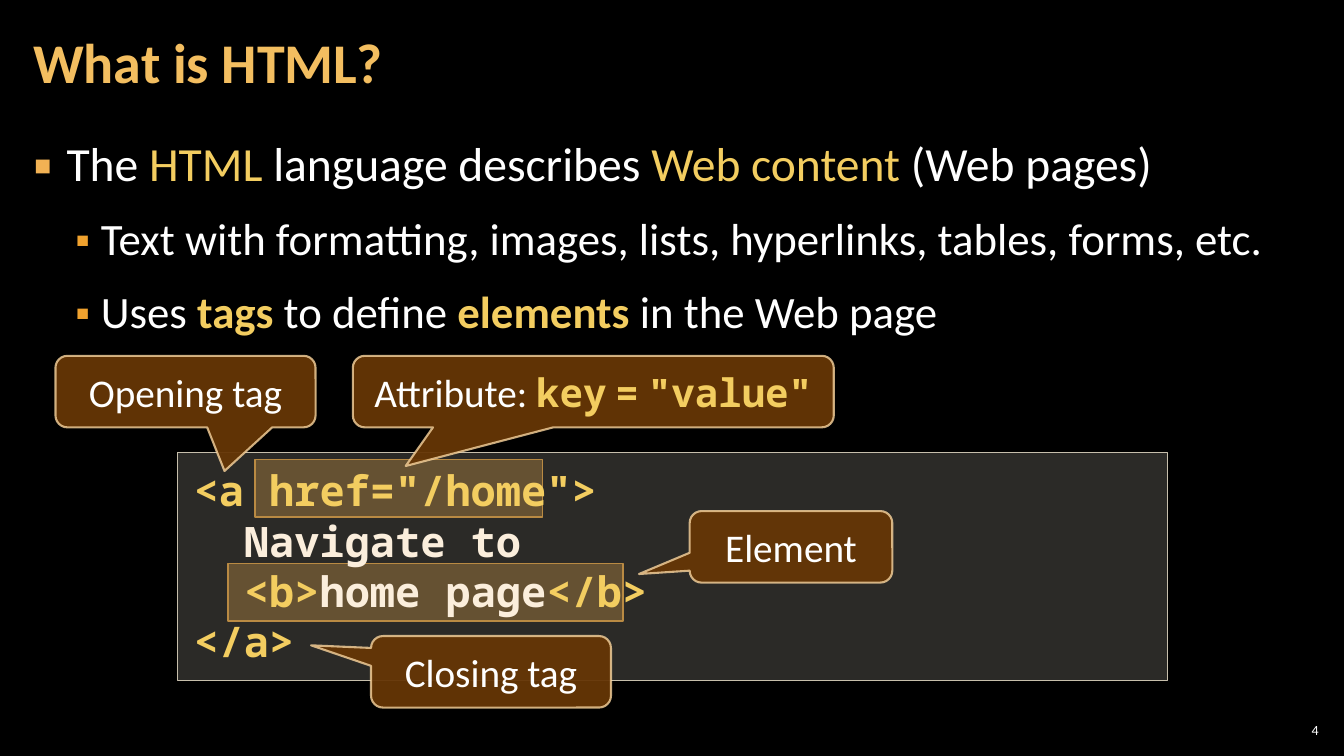
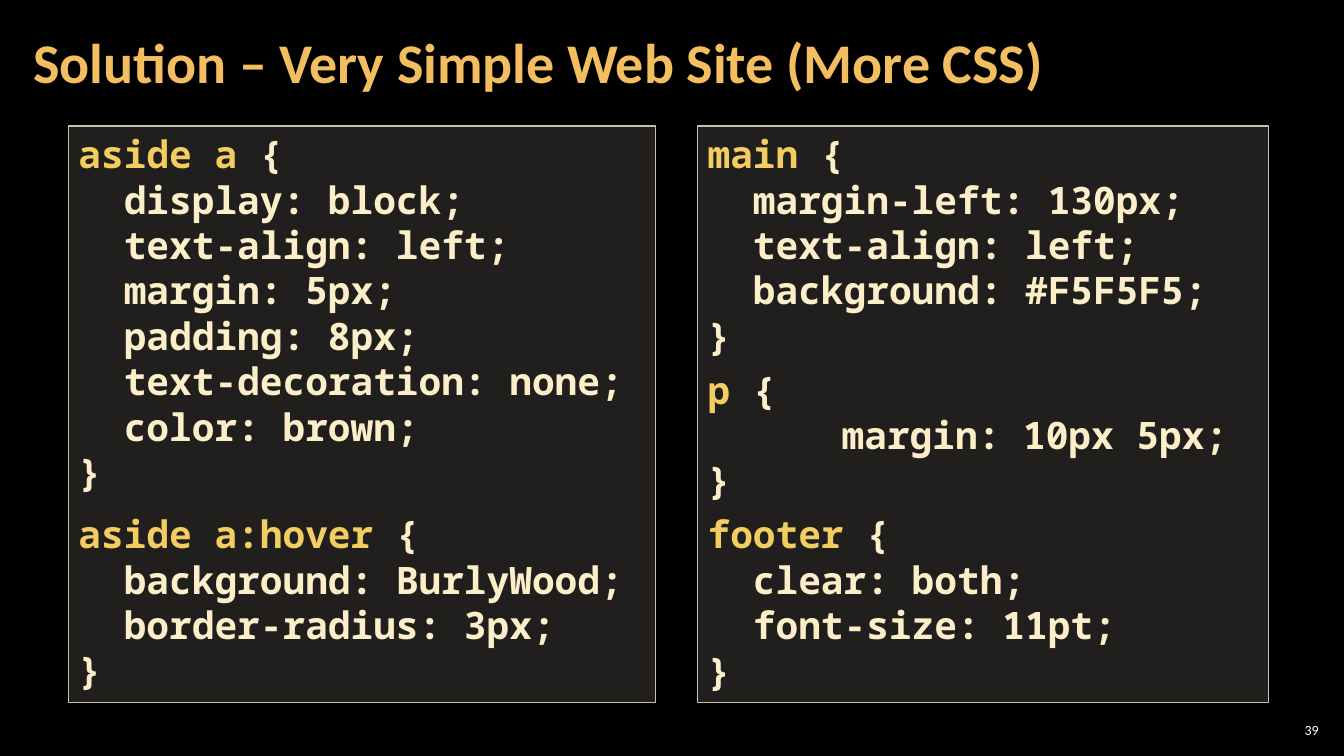
from dataclasses import dataclass

from lxml.etree import SubElement
from pptx import Presentation
from pptx.dml.color import RGBColor as RGB
from pptx.enum.shapes import MSO_SHAPE as Form
from pptx.enum.text import MSO_ANCHOR as Anchor, MSO_AUTO_SIZE as Fit, PP_ALIGN as Align
from pptx.oxml.ns import qn
from pptx.util import Inches, Pt


@dataclass(frozen=True)
class Theme:
    sans: str = "Calibri"
    mono: str = "Noto Sans Mono"
    back: str = "000000"
    white: str = "FFFFFF"
    title: str = "F3BE60"
    mark: str = "F3CD60"
    cream: str = "FBEEDC"
    pale: str = "FBEEC9"
    panel: str = "D9D5C7"
    edge: str = "C7BFAC"
    glow: str = "F0A22E"
    rim: str = "B27822"
    brown: str = "663606"
    tan: str = "F8D49E"
    dots: tuple = ("F2B254", "F0A22E")
    head: int = 40
    body: tuple = (34, 32)
    note: int = 28
    foot: int = 10


def write(par, text, size, color, font, bold=False, mark=None):
    """Add runs to par; pieces between bars take the overrides in mark."""
    base = dict(font=font, color=color, bold=bold)
    for i, piece in enumerate(text.split("|")):
        if not piece:
            continue
        look = {**base, **(mark or {})} if i % 2 else base
        run = par.add_run()
        run.text = piece
        run.font.size = Pt(size)
        run.font.name = look["font"]
        run.font.bold = look["bold"]
        run.font.color.rgb = RGB.from_string(look["color"])


def fade(shape, route, part):
    """Set the opacity, in percent, of the colour at route."""
    for tone in shape.element.spPr.xpath(route + "a:solidFill/a:srgbClr"):
        SubElement(tone, qn("a:alpha"), val=str(part * 1000))


def bullet(par, color, size, left, hang):
    prop = par._p.get_or_add_pPr()
    prop.set("marL", str(Inches(left)))
    prop.set("indent", str(-Inches(hang)))
    tone = SubElement(prop, qn("a:buClr"))
    SubElement(tone, qn("a:srgbClr"), val=color)
    SubElement(prop, qn("a:buSzPct"), val=str(size * 1000))
    SubElement(prop, qn("a:buFont"), typeface="Noto Sans")
    SubElement(prop, qn("a:buChar"), char="▪")


def stop(par, pos):
    """Add a left tab stop."""
    tabs = SubElement(par._p.get_or_add_pPr(), qn("a:tabLst"))
    SubElement(tabs, qn("a:tab"), pos=str(Inches(pos)), algn="l")


def frame(shape, x=0.1, y=0.05, anchor=Anchor.TOP):
    """Prepare the text frame of a shape, with insets x and y."""
    text = shape.text_frame
    text.auto_size = Fit.NONE
    text.word_wrap = True
    text.vertical_anchor = anchor
    text.margin_left = text.margin_right = Inches(x)
    text.margin_top = text.margin_bottom = Inches(y)
    return text


def lines(text, count):
    """Yield count paragraphs of a text frame."""
    for i in range(count):
        yield text.add_paragraph() if i else text.paragraphs[0]


class Deck:
    def __init__(self, theme):
        self.theme = theme
        self.prs = Presentation()
        self.prs.slide_width, self.prs.slide_height = Inches(13.33), Inches(7.5)
        fill = self.prs.slide_master.background.fill
        fill.solid()
        fill.fore_color.rgb = RGB.from_string(theme.back)
        self.slide = None

    def start(self, title, number):
        """Begin a slide with its title and page number."""
        t = self.theme
        self.slide = self.prs.slides.add_slide(self.prs.slide_layouts[5])
        head = self.slide.shapes.title
        head.left, head.top, head.width, head.height = map(Inches, (0.21, 0.04, 10.47, 1.21))
        par = frame(head, 0.12, 0.04, Anchor.MIDDLE).paragraphs[0]
        par.alignment = Align.LEFT
        par.line_spacing = 0.9
        write(par, title, t.head, t.title, t.sans, bold=True)
        par = frame(self.box(12.65, 7.14, 0.47, 0.21), 0.04, 0.04, Anchor.MIDDLE).paragraphs[0]
        par.alignment = Align.RIGHT
        write(par, str(number), t.foot, t.white, t.sans)

    def box(self, *at):
        return self.slide.shapes.add_textbox(*map(Inches, at))

    def shape(self, at, fill, part, line, width=1, form=Form.RECTANGLE):
        item = self.slide.shapes.add_shape(form, *map(Inches, at))
        item.shadow.inherit = False
        item.fill.solid()
        item.fill.fore_color.rgb = RGB.from_string(fill)
        item.line.color.rgb = RGB.from_string(line)
        item.line.width = Pt(width)
        fade(item, "", part)
        return item

    def points(self, items):
        """Write the bulleted body from (level, text, bold marks)."""
        t = self.theme
        text = frame(self.box(0.21, 1.26, 12.91, 6.09), 0.12, 0.04)
        for par, (level, words, bold) in zip(lines(text, len(items)), items):
            bullet(par, t.dots[level], (100, 80)[level], (0.33, 0.67)[level], (0.33, 0.25)[level])
            par.line_spacing = 1.05
            par.space_before = Pt(6 if level else 0)
            par.space_after = Pt(6)
            write(par, words, t.body[level], t.white, t.sans, mark=dict(color=t.mark, bold=bold))

    def glow(self, *at):
        self.shape(at, self.theme.glow, 30, self.theme.rim)

    def code(self, at, blocks, size, color, part, inset=(0.1, 0.05), gap=0):
        """Draw a code panel; gap is the space between its blocks."""
        t = self.theme
        text = frame(self.shape(at, t.panel, part, t.edge), *inset)
        rows = [(n and not i, row) for n, block in enumerate(blocks)
                for i, row in enumerate(block.strip("\n").split("\n"))]
        for par, (first, row) in zip(lines(text, len(rows)), rows):
            par.alignment = Align.LEFT
            if "\t" in row:
                stop(par, 1.33)
            if first:
                par.space_before = Pt(gap)
            write(par, row, size, color, t.mono, bold=True, mark=dict(color=t.mark))

    def call(self, words, at, tip):
        """Draw a callout whose tail ends at tip, relative to its centre."""
        t = self.theme
        item = self.shape(at, t.brown, 95, t.tan, 1.5, Form.ROUNDED_RECTANGULAR_CALLOUT)
        fade(item, "a:ln/", 80)
        for i, value in enumerate((*tip, 0.167)):
            item.adjustments[i] = value
        par = frame(item, anchor=Anchor.MIDDLE).paragraphs[0]
        par.alignment = Align.CENTER
        write(par, words, t.note, t.white, t.sans,
              mark=dict(font=t.mono, color=t.mark, bold=True))


LINK = """
|<a href="/home">|
  Navigate to
  |<b>|home page|</b>|
|</a>|
"""

ASIDE = """
|aside a |{
  display: block;
  text-align: left;
  margin: 5px;
  padding: 8px;
  text-decoration: none;
  color: brown;
}
"""

HOVER = """
|aside a:hover |{
  background: BurlyWood;
  border-radius: 3px;
}
"""

MAIN = """
|main| {
  margin-left: 130px;
  text-align: left;
  background: #F5F5F5;
}
"""

PARA = """
|p| {
\tmargin: 10px 5px;
}
"""

FOOTER = """
|footer| {
  clear: both;
  font-size: 11pt;
}
"""


def main():
    theme = Theme()
    deck = Deck(theme)

    deck.start("What is HTML?", 4)
    deck.points([
        (0, "The |HTML| language describes |Web content |(Web pages)", False),
        (1, "Text with formatting, images, lists, hyperlinks, tables, forms, etc.", False),
        (1, "Uses |tags| to define |elements |in the Web page", True),
    ])
    deck.glow(2.53, 4.56, 2.85, 0.57)
    deck.glow(2.26, 5.59, 3.92, 0.57)
    deck.code((1.76, 4.49, 9.82, 2.26), [LINK], 30, theme.cream, 20, inset=(0.16, 0.12))
    for words, left, top, width, tip in (
        ("Opening tag", 0.55, 3.53, 2.58, (0.15, 1.11)),
        ('Attribute: |key| |=| |"value"|', 3.5, 3.53, 4.77, (-0.39, 1.04)),
        ("Element", 6.84, 5.07, 2.01, (-0.75, 0.38)),
        ("Closing tag", 3.68, 6.31, 2.38, (-0.75, -0.37)),
    ):
        deck.call(words, (left, top, width, 0.71), tip)

    deck.start("Solution – Very Simple Web Site (More CSS)", 39)
    for left, width, blocks, gap in (
        (0.68, 5.82, [ASIDE, HOVER], 12),
        (6.92, 5.66, [MAIN, PARA, FOOTER], 6),
    ):
        deck.code((left, 1.25, width, 5.72), blocks, 27, theme.pale, 15, gap=gap)

    deck.prs.save("out.pptx")


if __name__ == "__main__":
    main()
